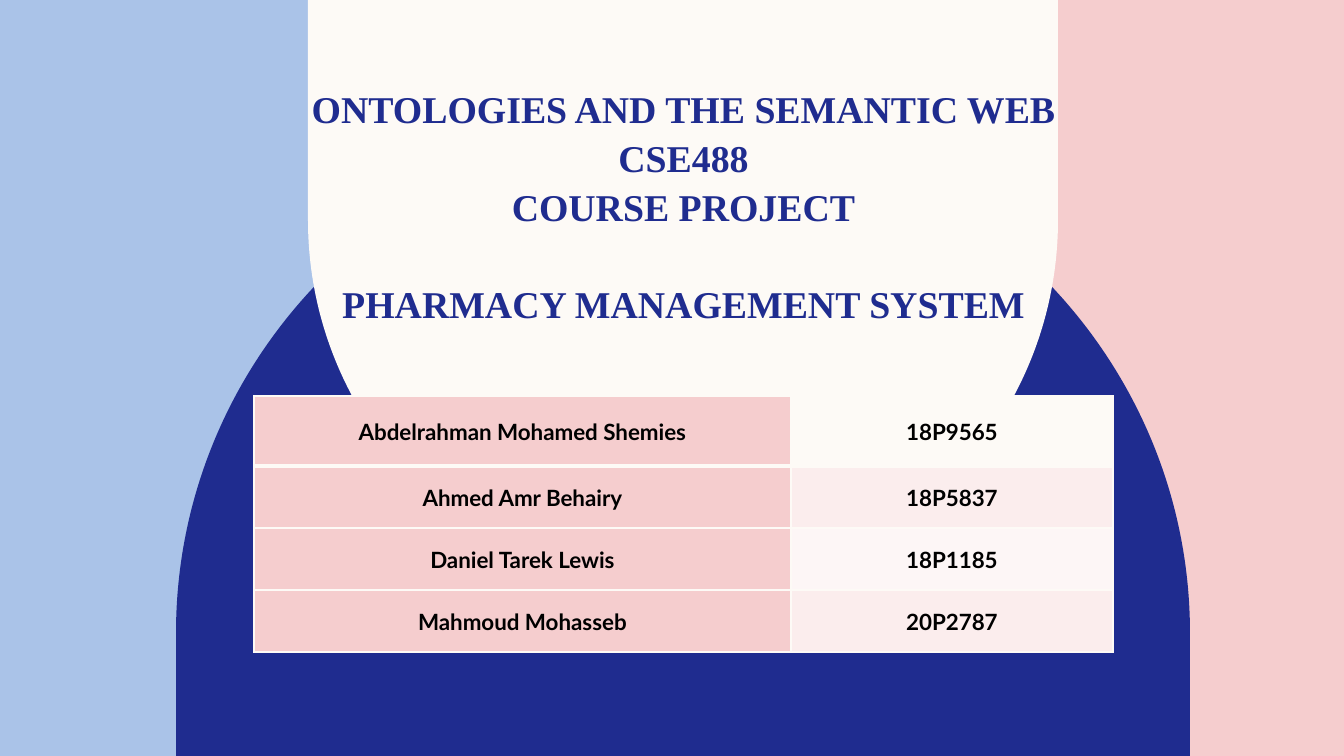
"""Build the title slide of a course project on a pharmacy management system."""
import lxml.etree
import pptx
import pptx.dml.color
import pptx.enum.shapes
import pptx.enum.text
import pptx.oxml.ns
import pptx.util

PX = 914400 / 100.8
ROUNDNESS = 0.55
NAVY, BLUE, PINK, CREAM = "1F2C8F", "AAC3E8", "F5CDCE", "FDFAF6"


def paint(fill, colour):
    """Make a fill solid in a hex colour."""
    fill.solid()
    fill.fore_color.rgb = pptx.dml.color.RGBColor.from_string(colour)


def arch(left, right, flat_end, spring, tip, colour):
    """Draw a block with one flat end and a half circle from the spring line to the tip."""
    middle = (left + right) / 2
    corners = [(right, flat_end), (right, spring), (middle, tip), (left, spring)]
    outline = slide.shapes.build_freeform(left * PX, flat_end * PX)
    outline.add_line_segments([(x * PX, y * PX) for x, y in corners], close=True)
    block = outline.convert_to_shape()
    block.shadow.inherit = False
    paint(block.fill, colour)
    block.line.fill.background()
    top = min(flat_end, tip)
    segments = list(block._element.iter(pptx.oxml.ns.qn("a:lnTo")))
    for index, side in ((2, right), (3, left)):
        curve = lxml.etree.Element(pptx.oxml.ns.qn("a:cubicBezTo"))
        start, end = corners[index - 1], corners[index]
        handles = [
            (x + ROUNDNESS * (side - x), y + ROUNDNESS * (tip - y)) for x, y in (start, end)]
        for x, y in handles + [end]:
            lxml.etree.SubElement(
                curve, pptx.oxml.ns.qn("a:pt"),
                x=str(round((x - left) * PX)), y=str(round((y - top) * PX)))
        segments[index].getparent().replace(segments[index], curve)


deck = pptx.Presentation()
deck.slide_width, deck.slide_height = round(1344 * PX), round(756 * PX)
slide = deck.slides.add_slide(deck.slide_layouts[5])
paint(slide.background.fill, PINK)

blue_side = slide.shapes.add_shape(
    pptx.enum.shapes.MSO_SHAPE.RECTANGLE, 0, 0, round(584 * PX), round(756 * PX))
blue_side.shadow.inherit = False
paint(blue_side.fill, BLUE)
blue_side.line.fill.background()

arch(176, 1190, 756, 633, 127, NAVY)
arch(308, 1058, 0, 220, 595, CREAM)

heading = slide.shapes.title
slide.shapes._spTree.append(heading._element)
heading.left, heading.top, heading.width, heading.height = (
    round(length * PX) for length in (278, 83, 811, 277))
heading_frame = heading.text_frame
heading_frame.text = (
    "ONTOLOGIES AND THE SEMANTIC WEB\vCSE488\vCOURSE PROJECT\n"
    "PHARMACY MANAGEMENT SYSTEM")
heading_frame.word_wrap = True
heading_frame.auto_size = pptx.enum.text.MSO_AUTO_SIZE.NONE
heading_frame.vertical_anchor = pptx.enum.text.MSO_ANCHOR.TOP
heading_frame.margin_top = 0
for paragraph in heading_frame.paragraphs:
    paragraph.alignment = pptx.enum.text.PP_ALIGN.CENTER
    paragraph.line_spacing = 1.07
    paragraph.space_before = pptx.util.Pt(0)
    for run in paragraph.runs:
        run.font.name = "Times New Roman"
        run.font.size = pptx.util.Pt(27)
        run.font.bold = True
        paint(run.font.fill, NAVY)
heading_frame.paragraphs[1].space_before = pptx.util.Pt(34.8)

students = [
    ("Abdelrahman Mohamed Shemies", "18P9565", 70, CREAM),
    ("Ahmed Amr Behairy", "18P5837", 62, "FBEDED"),
    ("Daniel Tarek Lewis", "18P1185", 62, "FDF6F6"),
    ("Mahmoud Mohasseb", "20P2787", 62, "FBEDED"),
]
roster = slide.shapes.add_table(
    len(students), 2, round(254 * PX), round(396 * PX),
    round(859 * PX), round(256 * PX)).table
for column, width in zip(roster.columns, (537, 322)):
    column.width = round(width * PX)

for row, (student, code, height, code_fill) in enumerate(students):
    roster.rows[row].height = round(height * PX)
    for column, (words, colour) in enumerate([(student, PINK), (code, code_fill)]):
        cell = roster.cell(row, column)
        cell.text = words
        cell.vertical_anchor = pptx.enum.text.MSO_ANCHOR.MIDDLE
        cell.margin_left = cell.margin_right = round(3 * PX)
        cell.margin_top = cell.margin_bottom = round(2 * PX)
        paragraph = cell.text_frame.paragraphs[0]
        paragraph.alignment = pptx.enum.text.PP_ALIGN.CENTER
        paragraph.line_spacing = 1.07
        paragraph.space_after = pptx.util.Pt(8)
        font = paragraph.runs[0].font
        font.name = "Lato"
        font.size = pptx.util.Pt(16)
        font.bold = True
        paint(font.fill, "000000")
        for edge in ("lnL", "lnR", "lnT", "lnB"):
            under_first_row = (row, edge) in ((0, "lnB"), (1, "lnT"))
            border = lxml.etree.SubElement(
                cell._tc.get_or_add_tcPr(), pptx.oxml.ns.qn(f"a:{edge}"),
                w=str(pptx.util.Pt(3 if under_first_row else 1)))
            border_fill = lxml.etree.SubElement(border, pptx.oxml.ns.qn("a:solidFill"))
            lxml.etree.SubElement(border_fill, pptx.oxml.ns.qn("a:srgbClr"), val=CREAM)
        paint(cell.fill, colour)

deck.save("out.pptx")
